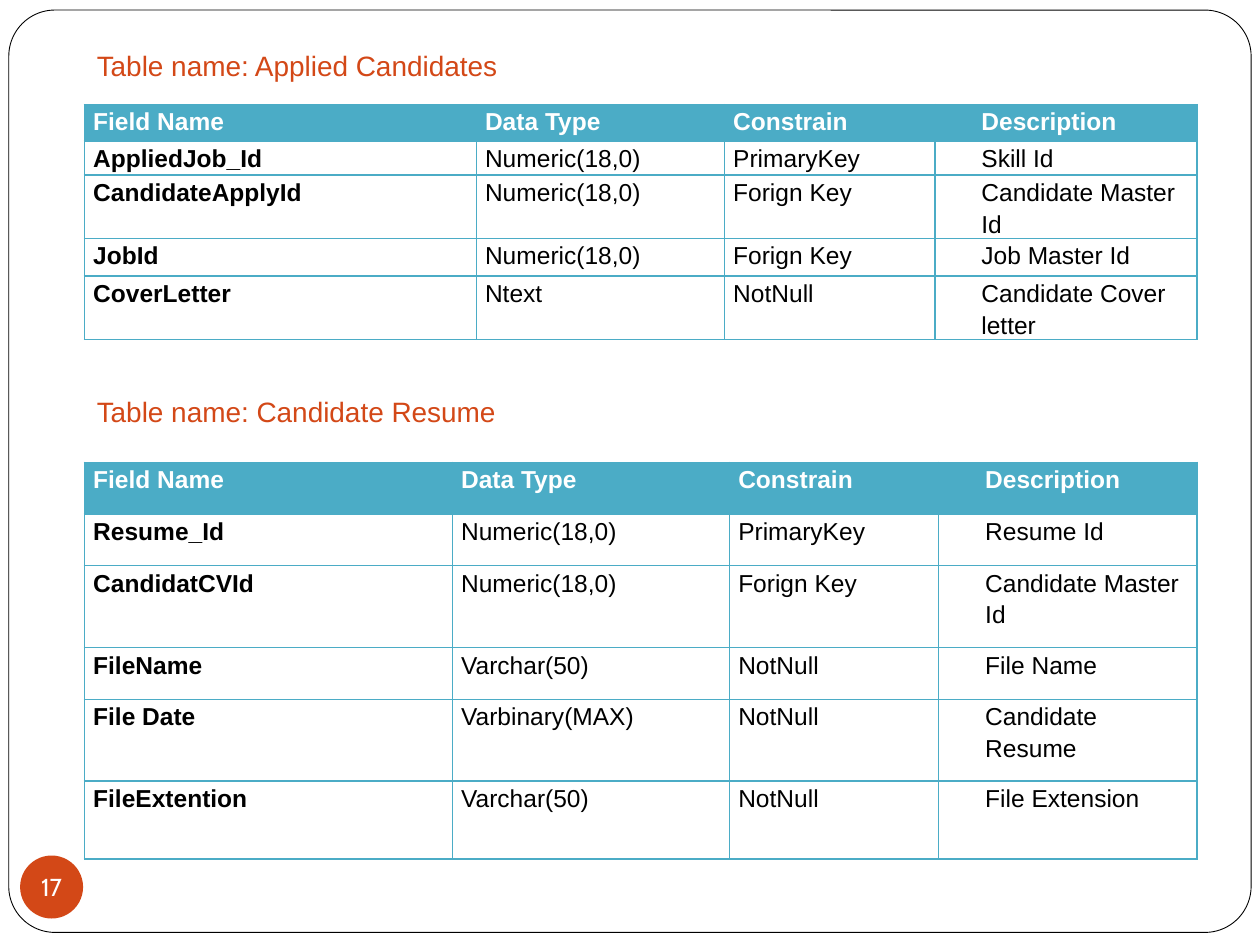
"""Build a slide with two database table definitions."""
from dataclasses import dataclass

from lxml.etree import SubElement
from pptx import Presentation
from pptx.dml.color import RGBColor
from pptx.enum.shapes import MSO_SHAPE as Shape
from pptx.enum.text import MSO_ANCHOR as Anchor, PP_ALIGN as Align
from pptx.oxml.ns import qn
from pptx.util import Inches, Pt


@dataclass(frozen=True)
class Theme:
    accent: str = "D34817"
    table: str = "4BACC6"
    white: str = "FFFFFF"
    black: str = "000000"
    font: str = "Arial"
    number_font: str = "Cabin"
    title_size: int = 16
    body_size: int = 14
    line_spacing: float = 1.15
    border: float = 1


THEME = Theme()
LEFT = 0.67
SPACER = 3
PAGE_NUMBER = "17"
HEADER = ("Field Name", "Data Type", "Constrain", "Description")
TABLES = [
    {
        "title": "Table name: Applied Candidates",
        "title_top": 0.33,
        "top": 0.83,
        "columns": (3.11, 1.97, 1.67, 0.3, 1.78),
        "rows": (0.29, 0.27, 0.3, 0.3, 0.3),
        "fields": [
            ("AppliedJob_Id", "Numeric(18,0)", "PrimaryKey", "Skill Id"),
            ("CandidateApplyId", "Numeric(18,0)", "Forign Key", "Candidate Master Id"),
            ("JobId", "Numeric(18,0)", "Forign Key", "Job Master Id"),
            ("CoverLetter", "Ntext", "NotNull", "Candidate Cover letter"),
        ],
    },
    {
        "title": "Table name: Candidate Resume",
        "title_top": 3.08,
        "top": 3.67,
        "columns": (2.92, 2.2, 1.66, 0.3, 1.75),
        "rows": (0.41, 0.41, 0.65, 0.41, 0.65, 0.62),
        "fields": [
            ("Resume_Id", "Numeric(18,0)", "PrimaryKey", "Resume Id"),
            ("CandidatCVId", "Numeric(18,0)", "Forign Key", "Candidate Master Id"),
            ("FileName", "Varchar(50)", "NotNull", "File Name"),
            ("File Date", "Varbinary(MAX)", "NotNull", "Candidate Resume"),
            ("FileExtention", "Varchar(50)", "NotNull", "File Extension"),
        ],
    },
]


def color(value):
    return RGBColor.from_string(value)


def write(frame, text, *, size=THEME.body_size, font=THEME.font, ink=THEME.black,
          bold=False, align=Align.LEFT, spacing=None):
    paragraph = frame.paragraphs[0]
    paragraph.alignment = align
    paragraph.line_spacing = spacing
    if not text:
        paragraph._p.get_or_add_endParaRPr().set("sz", str(size * 100))
        return
    run = paragraph.add_run()
    run.text = text
    run.font.size = Pt(size)
    run.font.name = font
    run.font.bold = bold
    run.font.color.rgb = color(ink)


def add_shape(slide, kind, box, fill):
    shape = slide.shapes.add_shape(kind, *map(Inches, box))
    shape.shadow.inherit = False
    shape.fill.solid()
    shape.fill.fore_color.rgb = color(fill)
    shape.line.fill.background()
    return shape


def set_borders(cell, hidden):
    properties = cell._tc.get_or_add_tcPr()
    for side in "LRTB":
        line = SubElement(properties, qn(f"a:ln{side}"), w=str(Pt(THEME.border)))
        if side == hidden:
            SubElement(line, qn("a:noFill"))
        else:
            fill = SubElement(line, qn("a:solidFill"))
            SubElement(fill, qn("a:srgbClr"), val=THEME.table)


def format_cell(cell, text, row, column):
    header = row == 0
    cell.margin_left = cell.margin_right = Inches(0.07)
    cell.margin_top = cell.margin_bottom = 0
    set_borders(cell, {SPACER: "R", SPACER + 1: "L"}.get(column))
    if header:
        cell.fill.solid()
        cell.fill.fore_color.rgb = color(THEME.table)
    else:
        cell.fill.background()
    write(cell.text_frame, text, bold=header or column == 0,
          ink=THEME.white if header else THEME.black, spacing=THEME.line_spacing)


def add_field_table(slide, top, columns, rows, fields):
    box = (LEFT, top, sum(columns), sum(rows))
    table = slide.shapes.add_table(len(rows), len(columns), *map(Inches, box)).table
    table.first_row = True
    table.horz_banding = False
    for column, width in zip(table.columns, columns):
        column.width = Inches(width)
    for row, height in zip(table.rows, rows):
        row.height = Inches(height)
    for row, values in enumerate([HEADER, *fields]):
        texts = (*values[:SPACER], "", *values[SPACER:])
        for column, text in enumerate(texts):
            format_cell(table.cell(row, column), text, row, column)


def add_title(slide, text, top):
    box = slide.shapes.add_textbox(*map(Inches, (LEFT, top, 8.67, 0.37)))
    box.text_frame.word_wrap = True
    box.text_frame.vertical_anchor = Anchor.MIDDLE
    write(box.text_frame, text, size=THEME.title_size, ink=THEME.accent)


def add_page_number(slide):
    circle = add_shape(slide, Shape.OVAL, (0.16, 6.79, 0.5, 0.5), THEME.accent)
    frame = circle.text_frame
    frame.word_wrap = False
    frame.vertical_anchor = Anchor.MIDDLE
    frame.margin_left = frame.margin_right = frame.margin_top = frame.margin_bottom = 0
    write(frame, PAGE_NUMBER, font=THEME.number_font, ink=THEME.white, align=Align.CENTER)


def main():
    presentation = Presentation()
    presentation.slide_width, presentation.slide_height = Inches(10), Inches(7.5)
    slide = presentation.slides.add_slide(presentation.slide_layouts[6])
    panel = add_shape(slide, Shape.ROUNDED_RECTANGLE, (0.07, 0.08, 9.86, 7.32), THEME.white)
    panel.adjustments[0] = 0.05
    panel.line.color.rgb = color(THEME.black)
    panel.line.width = Pt(0.5)
    add_page_number(slide)
    for item in TABLES:
        add_field_table(slide, item["top"], item["columns"], item["rows"], item["fields"])
        add_title(slide, item["title"], item["title_top"])
    presentation.save("out.pptx")


if __name__ == "__main__":
    main()
